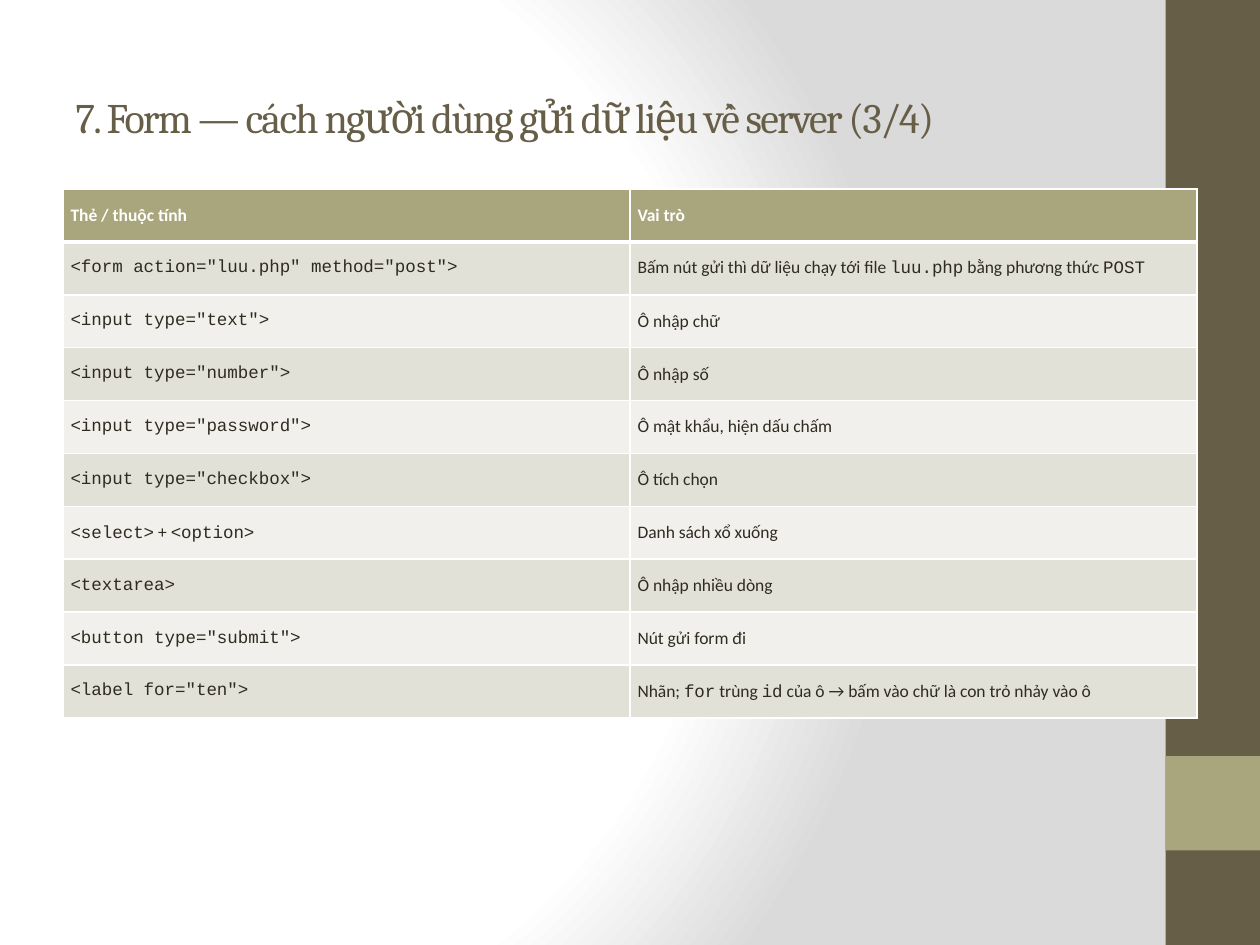
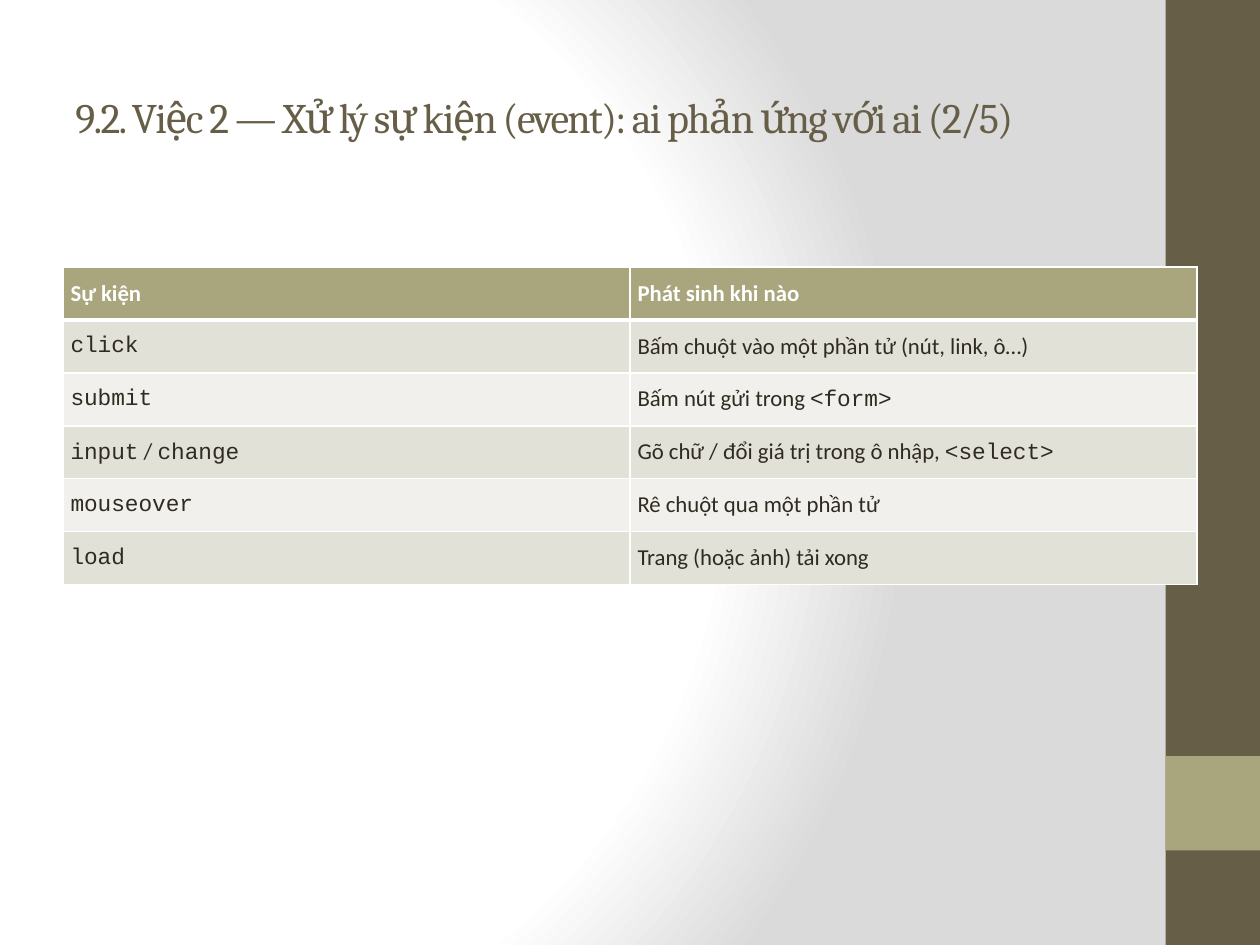
from lxml import etree
from pptx import Presentation
from pptx.dml.color import RGBColor
from pptx.enum.shapes import MSO_SHAPE
from pptx.enum.text import MSO_ANCHOR
from pptx.oxml import parse_xml
from pptx.oxml.ns import nsdecls, qn
from pptx.util import Inches, Pt

# Content: text between backticks is code
SLIDES = [
    {
        "title": "7. Form — cách người dùng gửi dữ liệu về server (3/4)",
        "top": 1.5,
        "size": 10,
        "rows": [
            ("Thẻ / thuộc tính", "Vai trò"),
            ('`<form action="luu.php" method="post">`',
             "Bấm nút gửi thì dữ liệu chạy tới file `luu.php` bằng phương thức `POST`"),
            ('`<input type="text">`', "Ô nhập chữ"),
            ('`<input type="number">`', "Ô nhập số"),
            ('`<input type="password">`', "Ô mật khẩu, hiện dấu chấm"),
            ('`<input type="checkbox">`', "Ô tích chọn"),
            ("`<select>` + `<option>`", "Danh sách xổ xuống"),
            ("`<textarea>`", "Ô nhập nhiều dòng"),
            ('`<button type="submit">`', "Nút gửi form đi"),
            ('`<label for="ten">`',
             "Nhãn; `for` trùng `id` của ô → bấm vào chữ là con trỏ nhảy vào ô"),
        ],
    },
    {
        "title": "9.2. Việc 2 — Xử lý sự kiện (event): ai phản ứng với ai (2/5)",
        "top": 2.12,
        "size": 13,
        "rows": [
            ("Sự kiện", "Phát sinh khi nào"),
            ("`click`", "Bấm chuột vào một phần tử (nút, link, ô…)"),
            ("`submit`", "Bấm nút gửi trong `<form>`"),
            ("`input` / `change`", "Gõ chữ / đổi giá trị trong ô nhập, `<select>`"),
            ("`mouseover`", "Rê chuột qua một phần tử"),
            ("`load`", "Trang (hoặc ảnh) tải xong"),
        ],
    },
]

# Shared look
BROWN, OLIVE, INK, WHITE, GREY = "675E47", "A9A57C", "2F2B20", "FFFFFF", "DADADA"
STRIPES = ("E2E1D7", "F1F0EC")
TITLE_FONT, BODY_FONT, CODE_FONT = "Cambria", "Calibri", "Courier New"
BANDS = [(0, 7.5, BROWN), (6, 0.75, OLIVE)]  # top, height, colour
BAND_LEFT, BAND_W = 9.25, 0.75
TABLE_LEFT, TABLE_W, ROW_H = 0.5, 9, 0.42
GRADIENT_STOPS = [(0, WHITE), (75, WHITE), (100, GREY)]


def rgb(value):
    return RGBColor.from_string(value)


def style(r, font, size, color, bold=False):
    r.font.name, r.font.size, r.font.bold = font, Pt(size), bold
    r.font.color.rgb = rgb(color)


def add_background(s):
    s.background.fill.gradient()
    grad = s.element.find(".//" + qn("a:gradFill"))
    stops = "".join(f'<a:gs pos="{pos * 1000}"><a:srgbClr val="{color}"/></a:gs>'
                    for pos, color in GRADIENT_STOPS)
    grad.getparent().replace(grad, parse_xml(
        f'<a:gradFill {nsdecls("a")} rotWithShape="1"><a:gsLst>{stops}</a:gsLst>'
        '<a:path path="circle"><a:fillToRect l="20000" t="50000" r="100000" b="50000"/>'
        "</a:path></a:gradFill>"))


def add_bands(s):
    for top, height, color in BANDS:
        sp = s.shapes.add_shape(MSO_SHAPE.RECTANGLE, Inches(BAND_LEFT), Inches(top),
                                Inches(BAND_W), Inches(height))
        sp.shadow.inherit = False
        sp.fill.solid()
        sp.fill.fore_color.rgb = rgb(color)
        sp.line.fill.background()


def add_title(s, text):
    tf = s.shapes.add_textbox(Inches(0.5), Inches(0.3), Inches(8.33), Inches(1.25)).text_frame
    tf.word_wrap = True
    tf.vertical_anchor = MSO_ANCHOR.MIDDLE
    tf.text = text
    r = tf.paragraphs[0].runs[0]
    style(r, TITLE_FONT, 24, BROWN)
    r.font._element.set("spc", "-100")


def add_borders(cell, row):
    widths = {"L": 1, "R": 1, "T": 3 if row == 1 else 1, "B": 3 if row == 0 else 1}
    tcPr = cell._tc.get_or_add_tcPr()
    for side, width in widths.items():
        ln = etree.SubElement(tcPr, qn(f"a:ln{side}"), w=str(Pt(width)))
        fill = etree.SubElement(ln, qn("a:solidFill"))
        etree.SubElement(fill, qn("a:srgbClr"), val=WHITE)


def fill_cell(cell, text, row, size):
    header = row == 0
    add_borders(cell, row)
    cell.fill.solid()
    cell.fill.fore_color.rgb = rgb(OLIVE if header else STRIPES[(row - 1) % 2])
    cell.vertical_anchor = MSO_ANCHOR.MIDDLE
    cell.margin_left = cell.margin_right = Inches(0.06)
    cell.margin_top = cell.margin_bottom = Inches(0.03)
    p = cell.text_frame.paragraphs[0]
    for i, part in enumerate(text.split("`")):
        if part:
            r = p.add_run()
            r.text = part
            style(r, CODE_FONT if i % 2 else BODY_FONT, size,
                  WHITE if header else INK, header)


def add_rows(s, rows, top, size):
    cols = len(rows[0])
    table = s.shapes.add_table(len(rows), cols, Inches(TABLE_LEFT), Inches(top),
                               Inches(TABLE_W), Inches(ROW_H * len(rows))).table
    for column in table.columns:
        column.width = Inches(TABLE_W / cols)
    for i, row in enumerate(rows):
        table.rows[i].height = Inches(ROW_H)
        for j, text in enumerate(row):
            fill_cell(table.cell(i, j), text, i, size)


def main():
    prs = Presentation()
    prs.slide_width, prs.slide_height = Inches(10), Inches(7.5)
    for content in SLIDES:
        s = prs.slides.add_slide(prs.slide_layouts[6])
        add_background(s)
        add_bands(s)
        add_title(s, content["title"])
        add_rows(s, content["rows"], content["top"], content["size"])
    prs.save("out.pptx")


if __name__ == "__main__":
    main()
